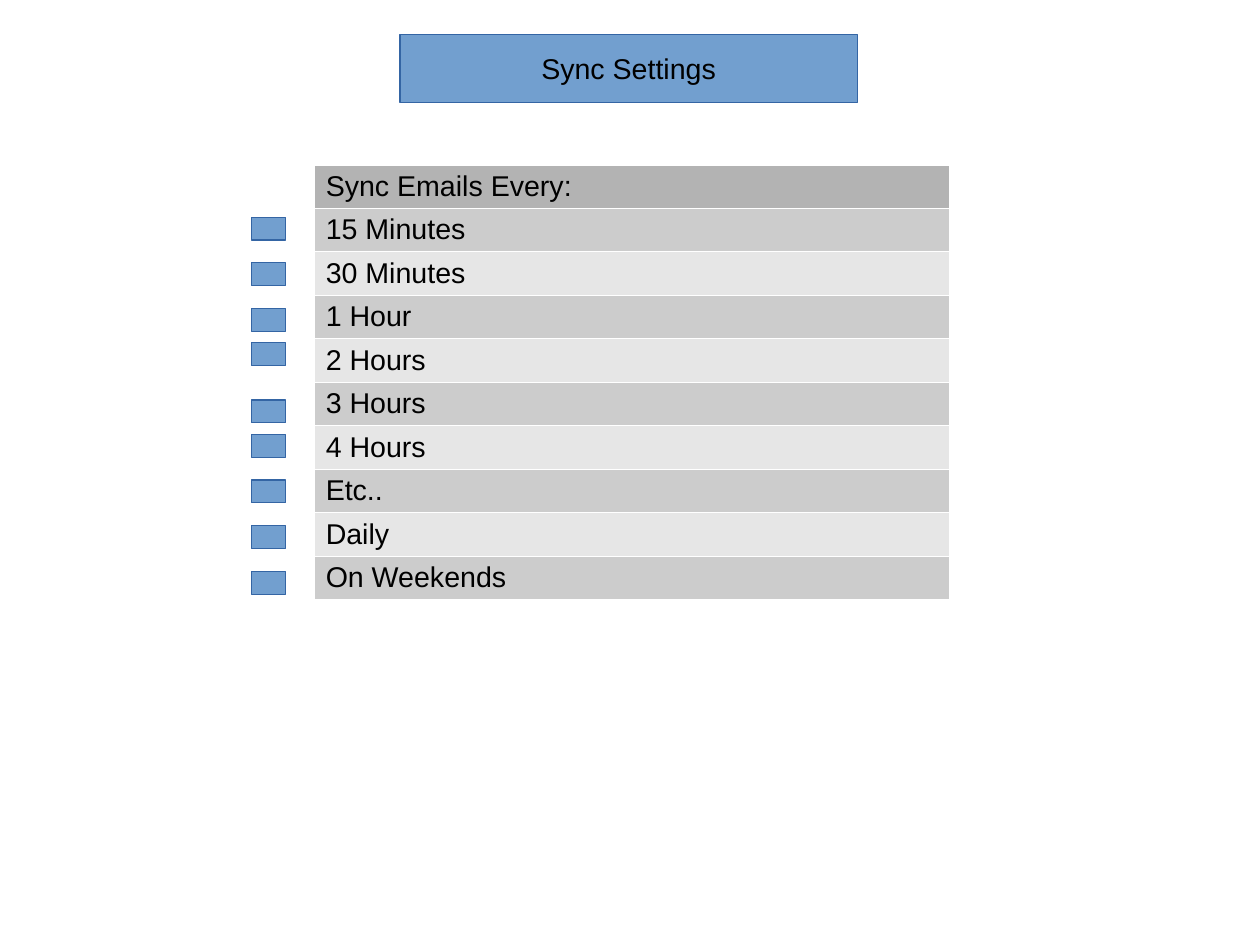
import pptx
import pptx.dml.color
import pptx.enum.shapes
import pptx.enum.text
import pptx.oxml
import pptx.oxml.ns
import pptx.util
from pptx.util import Inches

TITLE = "Sync Settings"
HEADER = "Sync Emails Every:"
INTERVALS = ["15 Minutes", "30 Minutes", "1 Hour", "2 Hours", "3 Hours",
             "4 Hours", "Etc..", "Daily", "On Weekends"]
CHECKBOX_TOPS = [1.9, 2.3, 2.7, 3, 3.5, 3.8, 4.2, 4.6, 5]
COLORS = {"box": "729FCF", "outline": "3465A4", "text": "000000", "border": "FFFFFF",
          "header": "B3B3B3", "odd": "CCCCCC", "even": "E6E6E6"}
FONT, FONT_SIZE = "Arial", 18
TABLE_LEFT, TABLE_TOP, TABLE_WIDTH, ROW_HEIGHT = 2.75, 1.44, 5.55, 0.38


def rgb(name):
    return pptx.dml.color.RGBColor.from_string(COLORS[name])


def set_text(tf, text):
    p = tf.paragraphs[0]
    p.text = text
    font = p.runs[0].font
    font.name, font.size = FONT, pptx.util.Pt(FONT_SIZE)
    font.color.rgb = rgb("text")
    return p


def add_box(slide, left, top, width, height):
    sp = slide.shapes.add_shape(pptx.enum.shapes.MSO_SHAPE.RECTANGLE,
                                Inches(left), Inches(top), Inches(width), Inches(height))
    sp.shadow.inherit = False
    sp.fill.solid()
    sp.fill.fore_color.rgb = rgb("box")
    sp.line.color.rgb = rgb("outline")
    sp.line.width = 0
    return sp


def set_borders(cell):
    """Put a thin line on all four sides; borders must precede the fill."""
    tc_pr = cell._tc.get_or_add_tcPr()
    for i, side in enumerate(("lnL", "lnR", "lnT", "lnB")):
        tc_pr.insert(i, pptx.oxml.parse_xml(
            f'<a:{side} {pptx.oxml.ns.nsdecls("a")} w="{pptx.util.Pt(0.06)}"><a:solidFill>'
            f'<a:srgbClr val="{COLORS["border"]}"/></a:solidFill></a:{side}>'))


def add_interval_table(slide):
    rows = [HEADER] + INTERVALS
    table = slide.shapes.add_table(
        len(rows), 1, Inches(TABLE_LEFT), Inches(TABLE_TOP),
        Inches(TABLE_WIDTH), Inches(ROW_HEIGHT * len(rows))).table
    table.first_row = table.horz_banding = False
    for i, text in enumerate(rows):
        table.rows[i].height = Inches(ROW_HEIGHT)
        cell = table.cell(i, 0)
        set_text(cell.text_frame, text)
        cell.fill.solid()
        cell.fill.fore_color.rgb = rgb("header" if i == 0 else "odd" if i % 2 else "even")
        set_borders(cell)


def main():
    prs = pptx.Presentation()
    prs.slide_width = pptx.util.Cm(28)
    prs.slide_height = pptx.util.Cm(21)
    # The size is custom, so the template's 4:3 preset no longer applies.
    prs.element.sldSz.attrib.pop("type", None)
    slide = prs.slides.add_slide(prs.slide_layouts[6])

    tf = add_box(slide, 3.5, 0.3, 4, 0.6).text_frame
    tf.word_wrap = False
    tf.vertical_anchor = pptx.enum.text.MSO_ANCHOR.MIDDLE
    set_text(tf, TITLE).alignment = pptx.enum.text.PP_ALIGN.CENTER

    add_interval_table(slide)
    for top in CHECKBOX_TOPS:
        add_box(slide, 2.2, top, 0.3, 0.2)
    prs.save("out.pptx")


if __name__ == "__main__":
    main()
